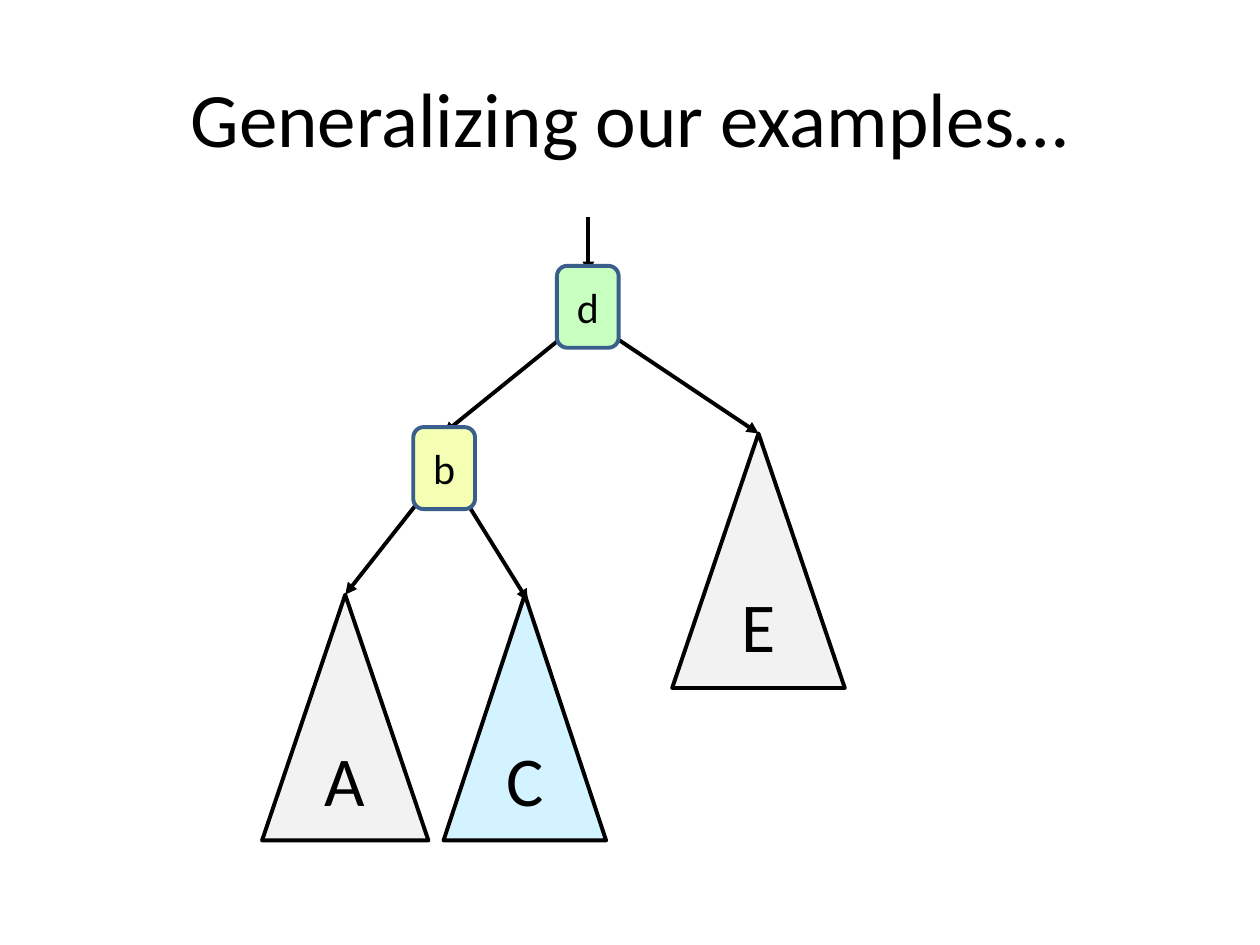
import pptx
import pptx.util
import pptx.dml.color
import pptx.enum.shapes
import pptx.enum.text
import pptx.oxml
import pptx.oxml.ns

RGB = pptx.dml.color.RGBColor
KIND = pptx.enum.shapes.MSO_SHAPE
BLACK = RGB(0x00, 0x00, 0x00)
GREY = RGB(0xF2, 0xF2, 0xF2)
SKY = RGB(0xD2, 0xF3, 0xFF)
YELLOW = RGB(0xF5, 0xFF, 0xB4)
GREEN = RGB(0xC6, 0xFF, 0xBF)
NAVY = RGB(0x3A, 0x5F, 0x8C)

# Content, on a grid of 100 columns by 75 rows
COLS, ROWS = 100, 75
TITLE = "Generalizing our examples…"
# Subtrees: label, apex column, apex row, width, height, fill
TREES = [
    ("E", 60.2, 34.4, 13.7, 20.2, GREY),
    ("C", 41.65, 47.2, 12.9, 19.5, SKY),
    ("A", 27.4, 47.2, 13.2, 19.5, GREY),
]
# Nodes: label, centre column, top row, fill
NODES = [("b", 35.25, 33.9, YELLOW), ("d", 46.65, 21.1, GREEN)]
NODE_W, NODE_H = 4.9, 6.5
# Arrows: start and end as column, row
ARROWS = [
    ((45.2, 26.3), (35.2, 34.4)),
    ((48.1, 26.3), (60.2, 34.4)),
    ((33.7, 39.2), (27.4, 47.2)),
    ((36.8, 39.5), (41.9, 47.7)),
    ((46.7, 17.2), (46.7, 21.7)),
]

deck = pptx.Presentation()
deck.slide_width = pptx.util.Inches(10)
deck.slide_height = pptx.util.Inches(7.5)
slide = deck.slides.add_slide(deck.slide_layouts[6])
shapes = slide.shapes


def place(*cells):
    """Turn column, row pairs into slide lengths."""
    units = (deck.slide_width / COLS, deck.slide_height / ROWS)
    return [round(c * units[i % 2]) for i, c in enumerate(cells)]


def write(shape, text, size):
    frame = shape.text_frame
    frame.word_wrap = True
    frame.vertical_anchor = pptx.enum.text.MSO_ANCHOR.MIDDLE
    para = frame.paragraphs[0]
    para.text = text
    para.alignment = pptx.enum.text.PP_ALIGN.CENTER
    para.font.name = "Calibri"
    para.font.size = pptx.util.Pt(size)
    para.font.color.rgb = BLACK


def stroke(shape, color):
    shape.line.color.rgb = color
    shape.line.width = pptx.util.Pt(2.25)


def draw(kind, label, mid, top, wide, high, fill, edge, size):
    shape = shapes.add_shape(kind, *place(mid - wide / 2, top, wide, high))
    shape.shadow.inherit = False
    shape.fill.solid()
    shape.fill.fore_color.rgb = fill
    stroke(shape, edge)
    write(shape, label, size)


def link(start, end):
    line = shapes.add_connector(
        pptx.enum.shapes.MSO_CONNECTOR.STRAIGHT, *place(*start, *end))
    stroke(line, BLACK)
    tip = pptx.oxml.parse_xml(
        f'<a:tailEnd {pptx.oxml.ns.nsdecls("a")} type="triangle"/>')
    line.line._get_or_add_ln().append(tip)
    line._element.spPr.append(pptx.oxml.parse_xml(
        f'<a:effectLst {pptx.oxml.ns.nsdecls("a")}/>'))


# Subtrees
for label, mid, top, wide, high, fill in TREES:
    draw(KIND.ISOSCELES_TRIANGLE, label, mid, top, wide, high, fill, BLACK, 40)

# Title
write(shapes.add_textbox(*place(5, 3, 90, 12.5)), TITLE, 44)

# Arrows, with the nodes over their ends
for start, end in ARROWS:
    link(start, end)
for label, mid, top, fill in NODES:
    draw(KIND.ROUNDED_RECTANGLE, label, mid, top, NODE_W, NODE_H, fill, NAVY, 24)

deck.save("out.pptx")
